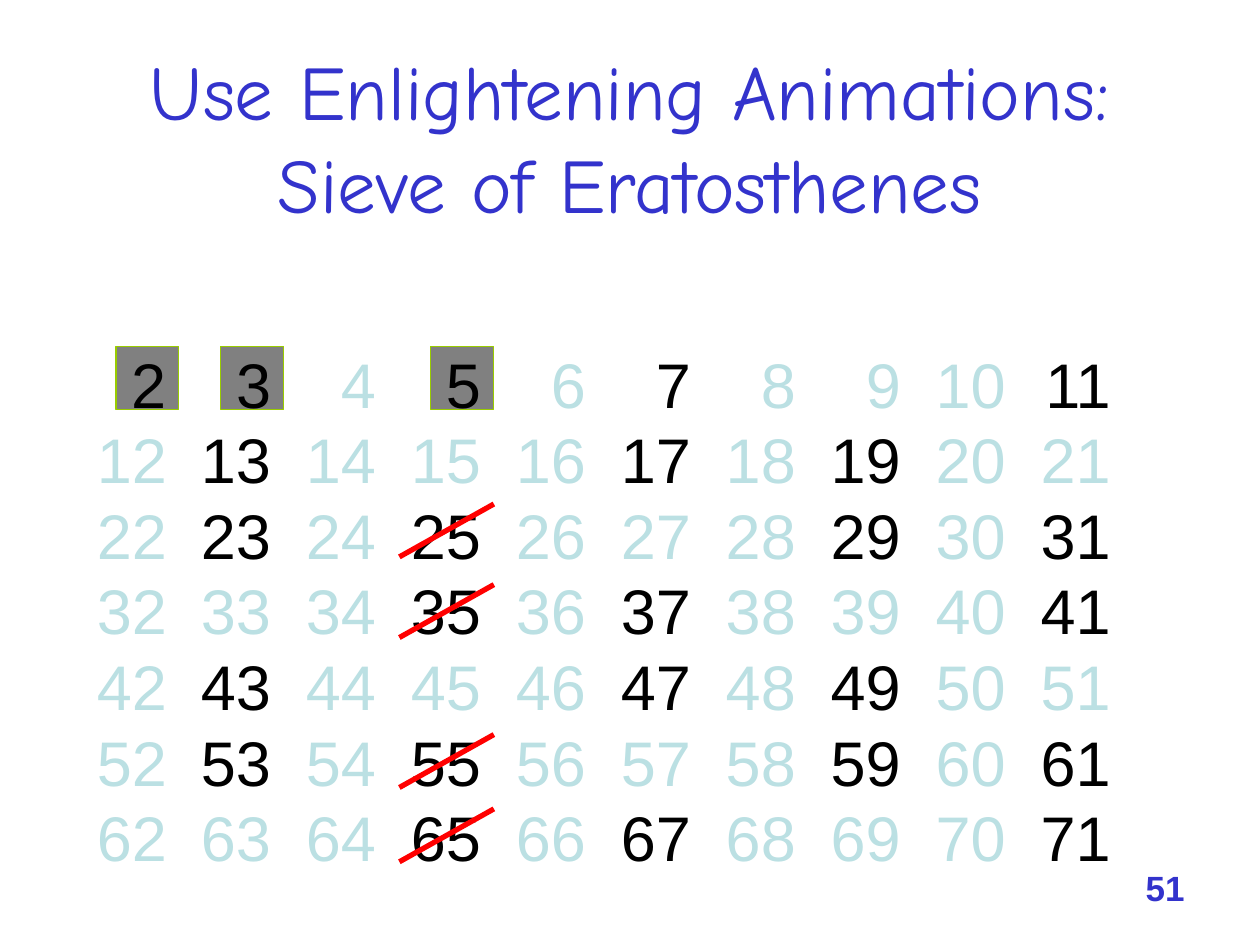
from lxml import etree
from pptx import Presentation
from pptx.dml.color import RGBColor
from pptx.enum import shapes, text
from pptx.oxml.ns import qn
from pptx.util import Inches, Pt

BLUE, BLACK, PALE = "3333CC", "000000", "BBE0E3"
COLUMNS, ROWS = 10, 7
COLUMN_PITCH = 0.833
FIRST_RIGHT_EDGE = 0.55
SIEVED_BY = (2, 3)
CURRENT_PRIME = 5


def rgb(value):
    return RGBColor.from_string(value)


def style(run, size, color, font="Arial", bold=False):
    run.font.size = Pt(size)
    run.font.name = font
    run.font.bold = bold
    run.font.color.rgb = rgb(color)


def add_label(slide, box, words, align, **look):
    frame = slide.shapes.add_textbox(*map(Inches, box)).text_frame
    frame.word_wrap = True
    paragraph = frame.paragraphs[0]
    paragraph.text = words
    paragraph.alignment = align
    style(paragraph.runs[0], **look)


def add_prime_squares(slide, left, top, side):
    """Mark the primes used so far, which all stand in the first row."""
    for prime in (*SIEVED_BY, CURRENT_PRIME):
        x = left + (prime - 2) * COLUMN_PITCH
        square = slide.shapes.add_shape(
            shapes.MSO_SHAPE.RECTANGLE, *map(Inches, (x, top, side, side)))
        square.shadow.inherit = False
        square.fill.solid()
        square.fill.fore_color.rgb = rgb("808080")
        square.line.color.rgb = rgb("99CC00")
        square.line.width = Pt(0.75)


def set_column_stops(paragraph):
    """Give each column a right-aligned tab stop."""
    stops = etree.SubElement(paragraph._p.get_or_add_pPr(), qn("a:tabLst"))
    for column in range(COLUMNS):
        position = Inches(FIRST_RIGHT_EDGE + column * COLUMN_PITCH)
        etree.SubElement(stops, qn("a:tab"), pos=str(position), algn="r")


def add_number_grid(slide, box):
    frame = slide.shapes.add_textbox(*map(Inches, box)).text_frame
    frame.word_wrap = True
    for row in range(ROWS):
        paragraph = frame.paragraphs[0] if row == 0 else frame.add_paragraph()
        paragraph.line_spacing = Pt(43.2)
        set_column_stops(paragraph)
        first = 2 + row * COLUMNS
        for number in range(first, first + COLUMNS):
            sieved = any(number > p and number % p == 0 for p in SIEVED_BY)
            run = paragraph.add_run()
            run.text = f"\t{number}"
            style(run, 36, PALE if sieved else BLACK)


def add_strikes(slide, left, tops, width, height):
    """Cross out the multiples of the current prime."""
    for top in tops:
        strike = slide.shapes.add_connector(
            shapes.MSO_CONNECTOR.STRAIGHT,
            *map(Inches, (left, top + height, left + width, top)))
        strike.line.color.rgb = rgb("FF0000")
        strike.line.width = Pt(3)
        etree.SubElement(strike._element.spPr, qn("a:effectLst"))


def main():
    deck = Presentation()
    deck.slide_width, deck.slide_height = Inches(10), Inches(7.5)
    slide = deck.slides.add_slide(deck.slide_layouts[6])

    add_label(slide, (8.5, 6.83, 1, 0.52), "51", text.PP_ALIGN.RIGHT,
              size=20, color=BLUE, bold=True)
    add_prime_squares(slide, left=0.92, top=2.75, side=0.5)
    add_number_grid(slide, (0.67, 2.69, 8.53, 4.91))
    add_strikes(slide, left=3.17, tops=(4, 4.64, 5.83, 6.42),
                width=0.75, height=0.42)
    add_label(slide, (0.5, 0.3, 9, 1.25),
              "Use Enlightening Animations: Sieve of Eratosthenes",
              text.PP_ALIGN.CENTER, size=44, color=BLUE, font="Comic Neue")

    deck.save("out.pptx")


if __name__ == "__main__":
    main()
